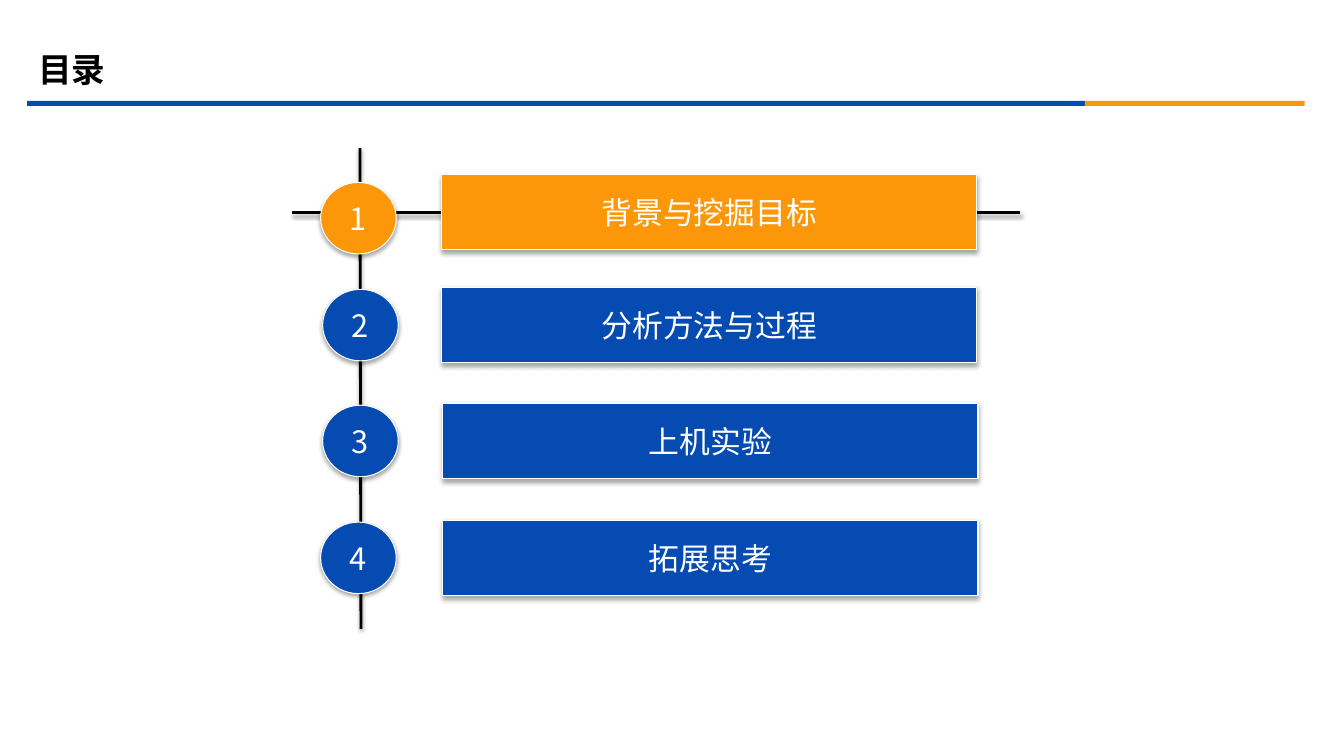
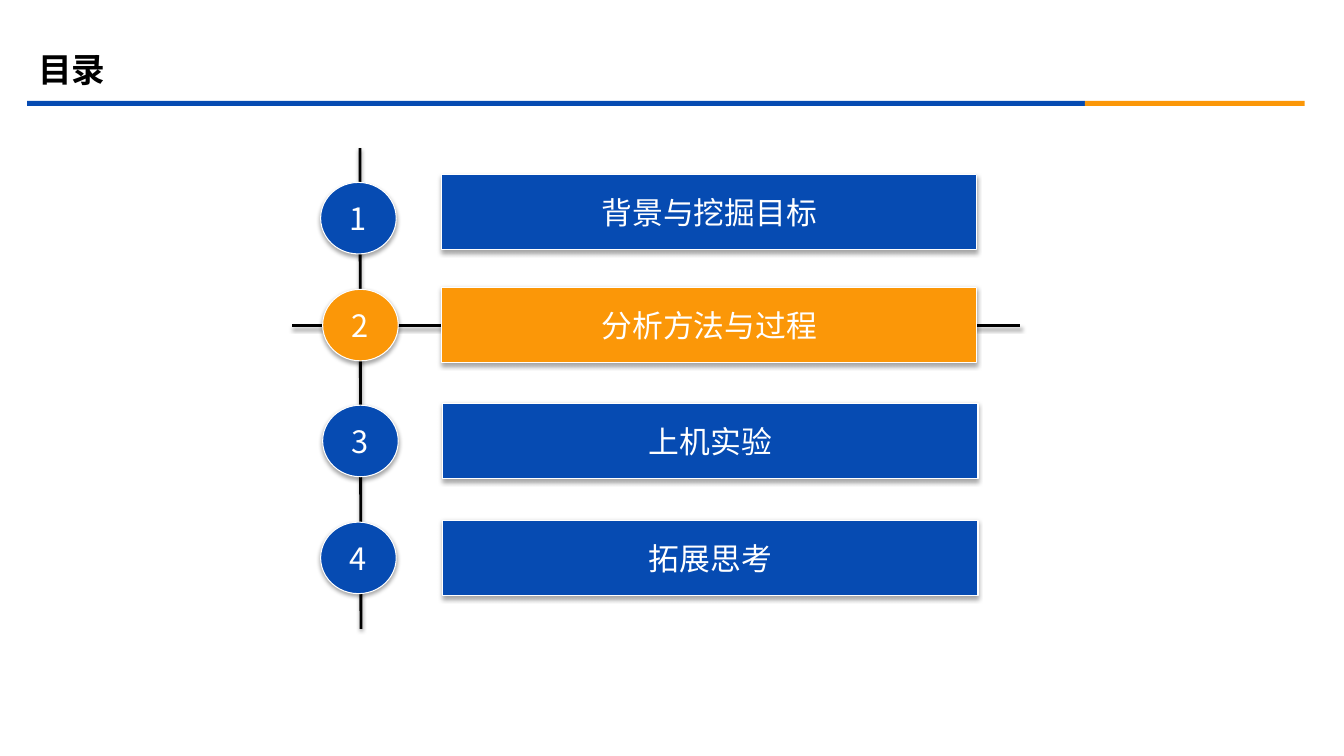
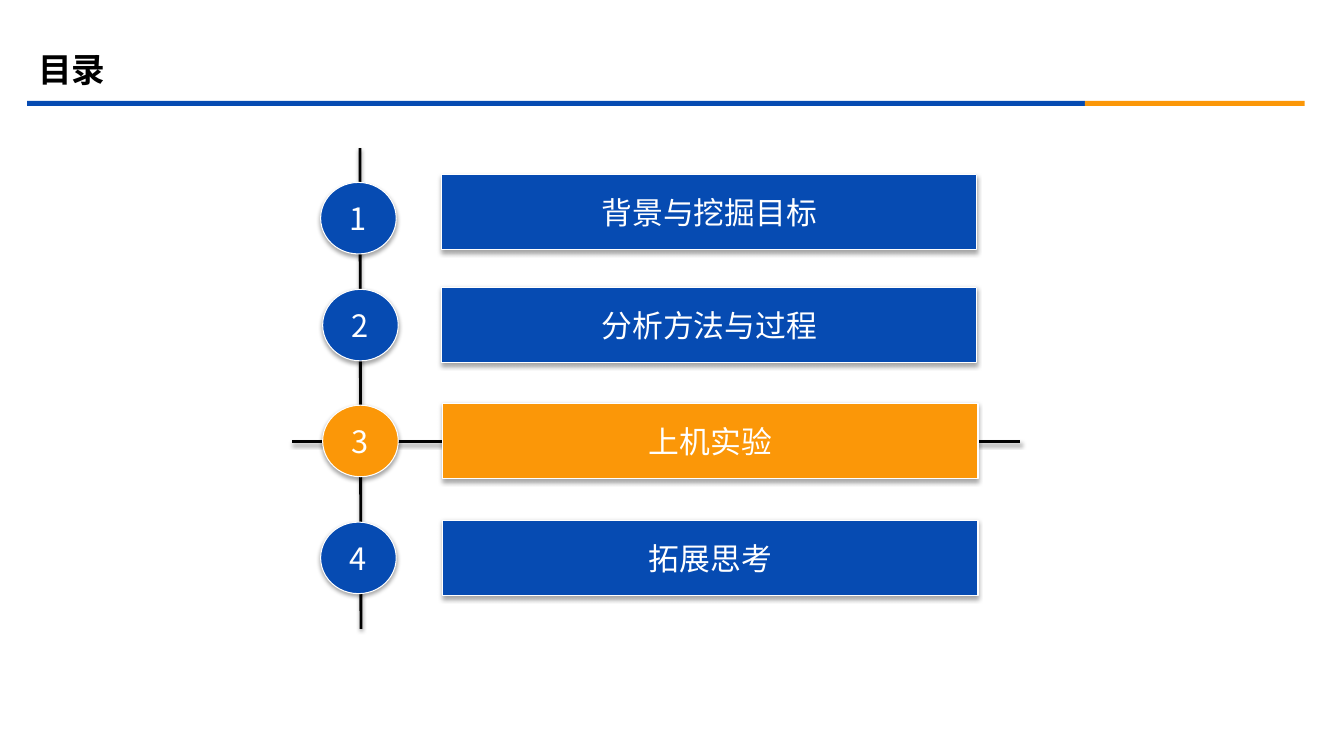
from dataclasses import dataclass

from lxml.etree import SubElement
from pptx import Presentation
from pptx.dml.color import RGBColor
from pptx.enum.shapes import MSO_CONNECTOR, MSO_SHAPE
from pptx.enum.text import MSO_ANCHOR, PP_ALIGN
from pptx.oxml.ns import qn
from pptx.util import Inches, Pt

BLUE, ORANGE, WHITE, BLACK = "064BB2", "FB9708", "FFFFFF", "000000"
FONT = "Noto Sans CJK SC"
BAR_WIDTH, BAR_HEIGHT = 5.31, 0.75
BADGE_WIDTH, BADGE_HEIGHT = 0.75, 0.71


@dataclass
class Topic:
    """Agenda entry; offsets are inches from the agenda's corner."""
    label: str
    bar_left: float
    bar_top: float
    badge_left: float
    badge_top: float


TOPICS = [
    Topic("背景与挖掘目标", 1.48, 0.26, 0.28, 0.34),
    Topic("分析方法与过程", 1.48, 1.38, 0.30, 1.40),
    Topic("上机实验", 1.49, 2.53, 0.30, 2.55),
    Topic("拓展思考", 1.49, 3.69, 0.28, 3.71),
]


def rgb(color):
    return RGBColor.from_string(color)


def add_shadow(part, opacity, distance):
    """Add a soft downward shadow; call after fill and line are set."""
    effects = SubElement(part._element.spPr, qn("a:effectLst"))
    shadow = SubElement(effects, qn("a:outerShdw"), blurRad=str(Pt(3.1)),
                        dist=str(Pt(distance)), dir="5400000", rotWithShape="0")
    black = SubElement(shadow, qn("a:srgbClr"), val=BLACK)
    SubElement(black, qn("a:alpha"), val=str(opacity * 1000))


def write(frame, text, size, color, bold=False, align=PP_ALIGN.LEFT):
    frame.vertical_anchor = MSO_ANCHOR.MIDDLE
    paragraph = frame.paragraphs[0]
    paragraph.text = text
    paragraph.alignment = align
    font = paragraph.font
    font.size, font.bold, font.name = Pt(size), bold, FONT
    font.color.rgb = rgb(color)
    defaults = paragraph._p.pPr.find(qn("a:defRPr"))
    SubElement(defaults, qn("a:ea"), typeface=FONT)


def add_header(slide, title, left, top):
    heading = slide.shapes.add_textbox(
        Inches(left), Inches(top), Inches(12), Inches(0.58))
    heading.text_frame.word_wrap = True
    write(heading.text_frame, title, 24, BLACK, bold=True)
    band_left = left - 0.01
    for width, color in ((10.49, BLUE), (2.18, ORANGE)):
        band = slide.shapes.add_shape(
            MSO_SHAPE.RECTANGLE, Inches(band_left), Inches(top + 0.61),
            Inches(width), Inches(0.05))
        band.shadow.inherit = False
        band.fill.solid()
        band.fill.fore_color.rgb = rgb(color)
        band.line.fill.background()
        band_left += width


def add_axis(slide, x1, y1, x2, y2):
    axis = slide.shapes.add_connector(
        MSO_CONNECTOR.STRAIGHT, Inches(x1), Inches(y1), Inches(x2), Inches(y2))
    axis.line.color.rgb = rgb(BLACK)
    axis.line.width = Pt(2)
    add_shadow(axis, 38, 1.6)


def add_label(slide, outline, left, top, width, height, text, color):
    label = slide.shapes.add_shape(
        outline, Inches(left), Inches(top), Inches(width), Inches(height))
    label.fill.solid()
    label.fill.fore_color.rgb = rgb(color)
    label.line.color.rgb = rgb(WHITE)
    label.line.width = Pt(0.75)
    add_shadow(label, 35, 1.8)
    label.text_frame.word_wrap = False
    write(label.text_frame, text, 22, WHITE, align=PP_ALIGN.CENTER)


def add_agenda(slide, current, left, top, width, height):
    """Draw the topics along a vertical axis, with the current one lit."""
    add_axis(slide, left + 0.67, top, left + 0.68, top + height)
    current_y = top + current.bar_top + 0.38
    add_axis(slide, left, current_y, left + width, current_y)
    for number, topic in enumerate(TOPICS, 1):
        color = ORANGE if topic is current else BLUE
        add_label(slide, MSO_SHAPE.ACTION_BUTTON_CUSTOM,
                  left + topic.bar_left, top + topic.bar_top,
                  BAR_WIDTH, BAR_HEIGHT, topic.label, color)
        add_label(slide, MSO_SHAPE.OVAL,
                  left + topic.badge_left, top + topic.badge_top,
                  BADGE_WIDTH, BADGE_HEIGHT, str(number), color)


def main():
    deck = Presentation()
    deck.slide_width, deck.slide_height = Inches(13.33), Inches(7.5)
    for current in TOPICS[:3]:
        slide = deck.slides.add_slide(deck.slide_layouts[6])
        add_header(slide, "目录", 0.28, 0.39)
        add_agenda(slide, current, 2.9, 1.47, 7.22, 4.77)
    deck.save("out.pptx")


if __name__ == "__main__":
    main()
